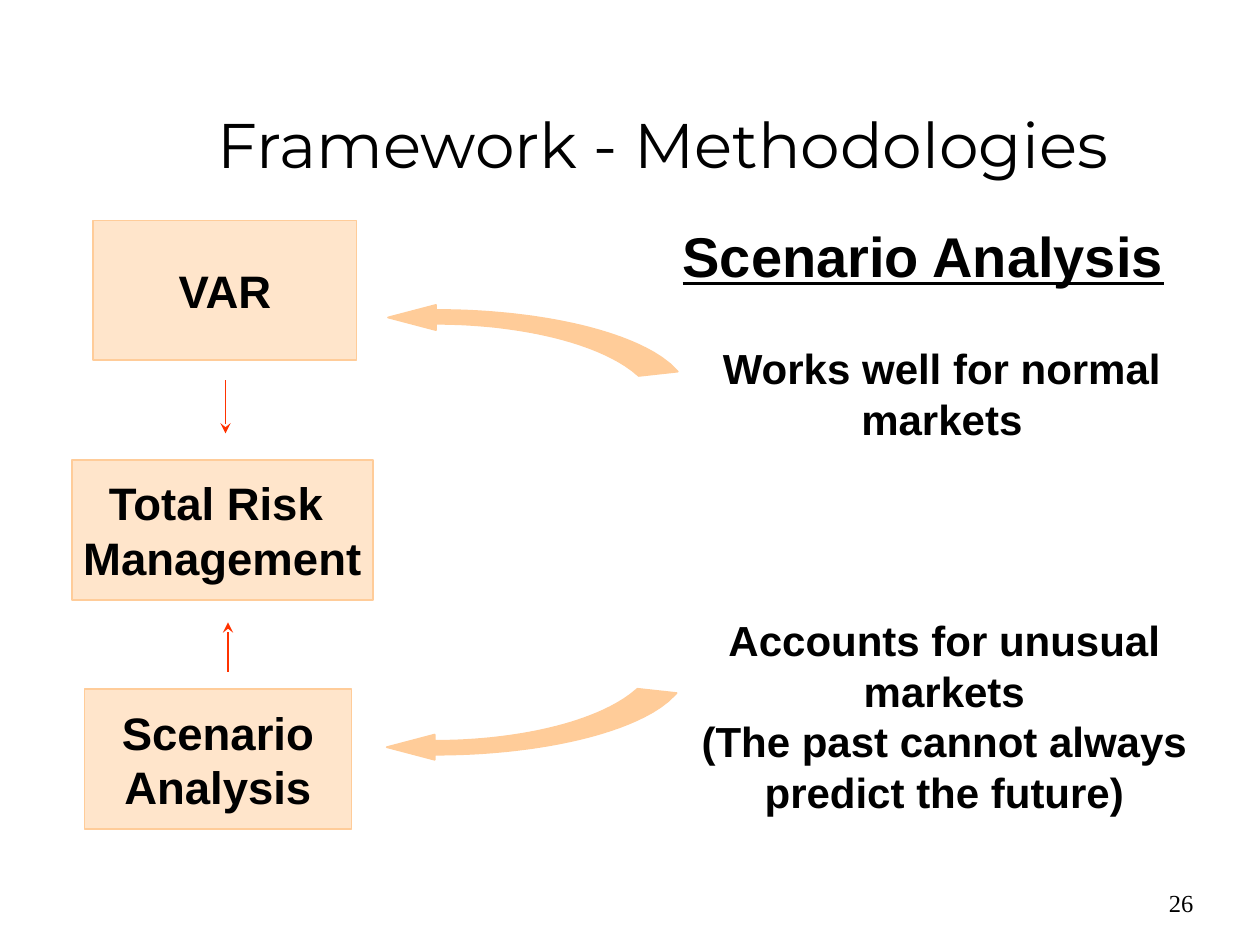
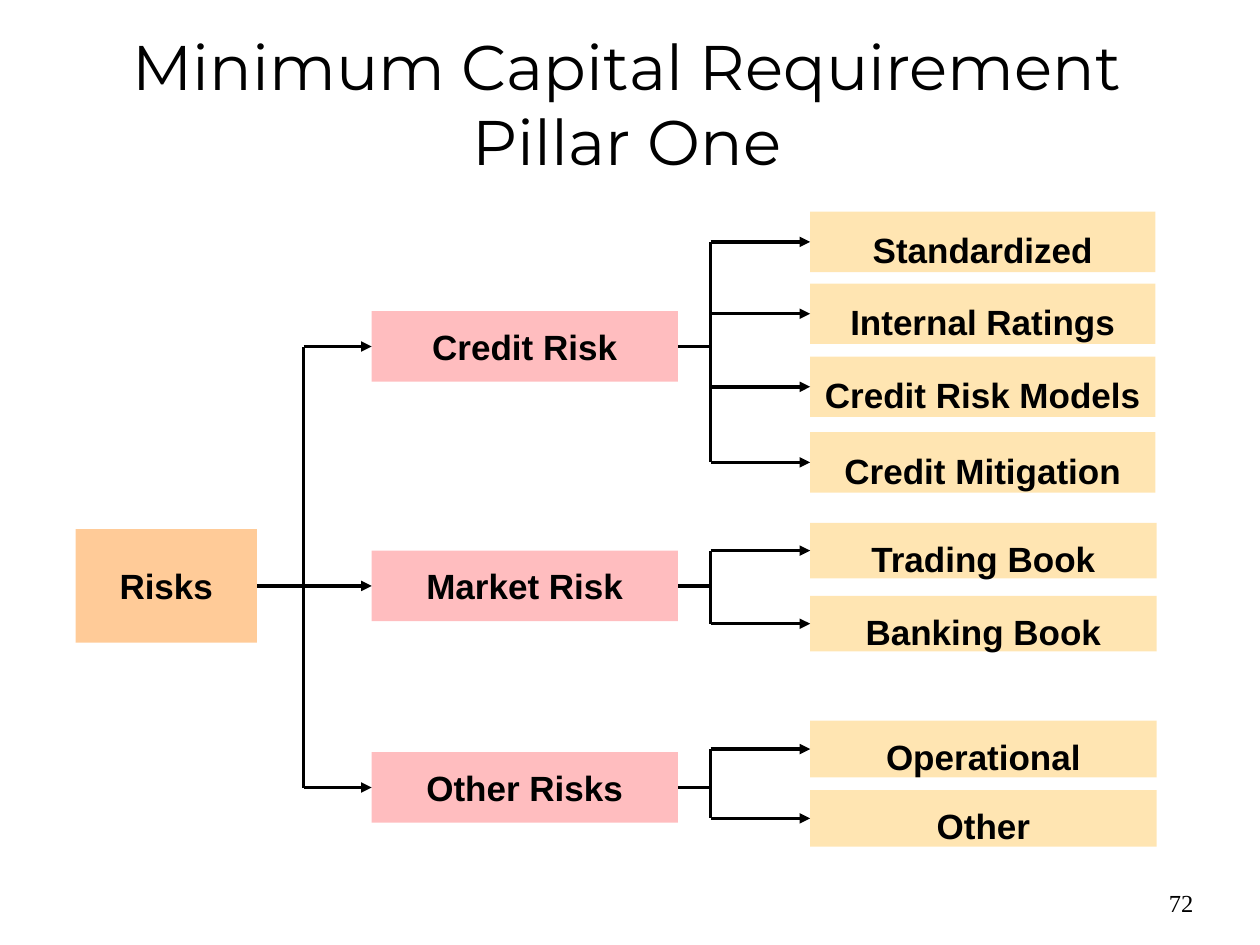
"""Build two risk management slides: framework methodologies and Pillar One capital."""
from copy import deepcopy
from dataclasses import dataclass
from math import sqrt

from lxml.etree import SubElement
from pptx import Presentation
from pptx.dml.color import RGBColor
from pptx.enum.shapes import MSO_CONNECTOR, MSO_SHAPE
from pptx.enum.text import MSO_ANCHOR, MSO_AUTO_SIZE, PP_ALIGN
from pptx.oxml.ns import qn
from pptx.util import Inches, Pt


@dataclass(frozen=True)
class Theme:
    black: str = "000000"
    peach: str = "FFCC99"
    red: str = "FF3300"
    orange: str = "FF9933"
    pink: str = "FF7C80"
    amber: str = "FFCC66"
    heading_font: str = "Montserrat"
    body_font: str = "Arial"
    number_font: str = "Times New Roman"
    title: int = 36
    subtitle: int = 32
    box: int = 26
    note: int = 24
    label: int = 20
    number: int = 14


T = Theme()


def write(tf, text, size, font=T.body_font, bold=True, underline=None,
          align=PP_ALIGN.CENTER, anchor=MSO_ANCHOR.MIDDLE, wrap=False):
    tf.word_wrap = wrap
    tf.auto_size = MSO_AUTO_SIZE.NONE
    tf.vertical_anchor = anchor
    for i, line in enumerate(text.split("\n")):
        p = tf.add_paragraph() if i else tf.paragraphs[0]
        p.text = line
        p.alignment = align
        for r in p.runs:
            r.font.size, r.font.name = Pt(size), font
            r.font.bold, r.font.underline = bold, underline
            r.font.color.rgb = RGBColor.from_string(T.black)
        for br in p._p.findall(qn("a:br")):
            br.append(deepcopy(p.runs[0]._r.rPr))


def connect(s, start, end, color=T.black, width=2, arrow=None):
    cx = s.shapes.add_connector(MSO_CONNECTOR.STRAIGHT, *map(Inches, start + end))
    cx.line.color.rgb = RGBColor.from_string(color)
    cx.line.width = Pt(width)
    if arrow:
        SubElement(cx.line._get_or_add_ln(), qn("a:tailEnd"), type=arrow)
    SubElement(cx._element.spPr, qn("a:effectLst"))
    return cx


prs = Presentation()
prs.slide_width, prs.slide_height = Inches(10), Inches(7.5)

slides = []
for title, area, number in [
    ("Framework - Methodologies", (0.87, 0.53, 8.78, 1.21), "26"),
    ("Minimum Capital Requirement\vPillar One", (0.39, 0.21, 9.17, 1.21), "72"),
]:
    s = prs.slides.add_slide(prs.slide_layouts[5])
    sp = s.shapes.title
    sp.left, sp.top, sp.width, sp.height = map(Inches, area)
    write(sp.text_frame, title, T.title, font=T.heading_font, bold=False, wrap=True)
    sp = s.shapes.add_textbox(*map(Inches, (7.49, 7, 2.08, 0.5)))
    write(sp.text_frame, number, T.number, font=T.number_font, bold=False,
          align=PP_ALIGN.RIGHT, anchor=MSO_ANCHOR.TOP, wrap=True)
    slides.append(s)
framework, pillar = slides

boxes = {}
for s, name, area, color in [
    (framework, "VAR", (0.74, 1.75, 2.09, 1.11), T.peach),
    (framework, "Total Risk \vManagement", (0.57, 3.65, 2.39, 1.11), T.peach),
    (framework, "Scenario\nAnalysis", (0.67, 5.47, 2.12, 1.11), T.peach),
    (pillar, "Risks", (0.6, 4.2, 1.44, 0.9), T.orange),
    (pillar, "Credit Risk", (2.95, 2.47, 2.43, 0.56), T.pink),
    (pillar, "Market Risk", (2.95, 4.37, 2.43, 0.56), T.pink),
    (pillar, "Other Risks", (2.95, 5.97, 2.43, 0.56), T.pink),
    (pillar, "Standardized", (6.43, 1.68, 2.74, 0.48), T.amber),
    (pillar, "Internal Ratings", (6.43, 2.25, 2.74, 0.48), T.amber),
    (pillar, "Credit Risk Models", (6.43, 2.83, 2.74, 0.48), T.amber),
    (pillar, "Credit Mitigation", (6.43, 3.43, 2.74, 0.48), T.amber),
    (pillar, "Trading Book", (6.43, 4.15, 2.75, 0.44), T.amber),
    (pillar, "Banking Book", (6.43, 4.73, 2.75, 0.44), T.amber),
    (pillar, "Operational", (6.43, 5.72, 2.75, 0.45), T.amber),
    (pillar, "Other", (6.43, 6.27, 2.75, 0.45), T.amber),
]:
    sp = s.shapes.add_shape(MSO_SHAPE.RECTANGLE, *map(Inches, area))
    sp.shadow.inherit = False
    sp.fill.solid()
    sp.fill.fore_color.rgb = RGBColor.from_string(color)
    clr = sp._element.spPr.find(qn("a:solidFill")).find(qn("a:srgbClr"))
    SubElement(clr, qn("a:alpha"), val="50000")
    if s is framework:
        sp.line.color.rgb = RGBColor.from_string(color)
        sp.line.width = Pt(1)
    else:
        sp.line.fill.background()
    write(sp.text_frame, name, T.box if s is framework else T.label)
    if color == T.amber:
        sp.text_frame.margin_top, sp.text_frame.margin_bottom = Inches(0.12), 0
    boxes[name] = (sp, area[1] + area[3] / 2)

connect(framework, (1.79, 3.02), (1.79, 3.44), T.red, 1, "stealth")
connect(framework, (1.81, 5.33), (1.81, 4.94), T.red, 1, "stealth")

steps = [i / 30 for i in range(31)]
outer = [(0.38 + 1.92 * t, 0.04 + 0.68 * (1 - sqrt(1 - (0.96 * t) ** 2))) for t in steps]
inner = [(0.38 + 1.61 * t, 0.15 + 0.68 * (1 - sqrt(1 - (0.92 * t) ** 2))) for t in steps]
curve = [(0, 0.1), (0.38, 0)] + outer + inner[::-1] + [(0.38, 0.2)]
for left, top, flip in [(3.08, 2.42, 1), (3.07, 6.03, -1)]:
    points = [(Inches(left + x), Inches(top + flip * y)) for x, y in curve]
    fb = framework.shapes.build_freeform(*points[0])
    fb.add_line_segments(points[1:], close=True)
    sp = fb.convert_to_shape()
    sp.shadow.inherit = False
    sp.fill.solid()
    sp.fill.fore_color.rgb = sp.line.color.rgb = RGBColor.from_string(T.peach)
    sp.line.width = Pt(1)

for text, area, style in [
    ("Scenario Analysis", (5.32, 1.71, 4.04, 0.63),
     dict(size=T.subtitle, underline=True, align=PP_ALIGN.LEFT, anchor=MSO_ANCHOR.TOP)),
    ("Works well for normal markets", (5.57, 2.6, 3.81, 1.04),
     dict(size=T.note, wrap=True)),
    ("Accounts for unusual markets\n(The past cannot always predict the future)",
     (5.33, 4.85, 4.33, 1.66), dict(size=T.note, wrap=True)),
]:
    sp = framework.shapes.add_textbox(*map(Inches, area))
    write(sp.text_frame, text, **style)

for risk, leaves in [
    ("Credit Risk",
     ["Standardized", "Internal Ratings", "Credit Risk Models", "Credit Mitigation"]),
    ("Market Risk", ["Trading Book", "Banking Book"]),
    ("Other Risks", ["Operational", "Other"]),
]:
    risk_box, y = boxes[risk]
    cx = connect(pillar, (5.38, y), (5.64, y))
    cx.begin_connect(risk_box, 3)
    connect(pillar, (5.64, boxes[leaves[0]][1]), (5.64, boxes[leaves[-1]][1]))
    for leaf in leaves:
        leaf_box, leaf_y = boxes[leaf]
        cx = connect(pillar, (5.64, leaf_y), (6.43, leaf_y), arrow="triangle")
        cx.end_connect(leaf_box, 1)

    from_root = risk == "Market Risk"
    cx = connect(pillar, (2.04 if from_root else 2.41, y), (2.95, y), arrow="triangle")
    cx.end_connect(risk_box, 1)
    if from_root:
        cx.begin_connect(boxes["Risks"][0], 3)
connect(pillar, (2.41, boxes["Credit Risk"][1]), (2.41, boxes["Other Risks"][1]))

prs.save("out.pptx")
